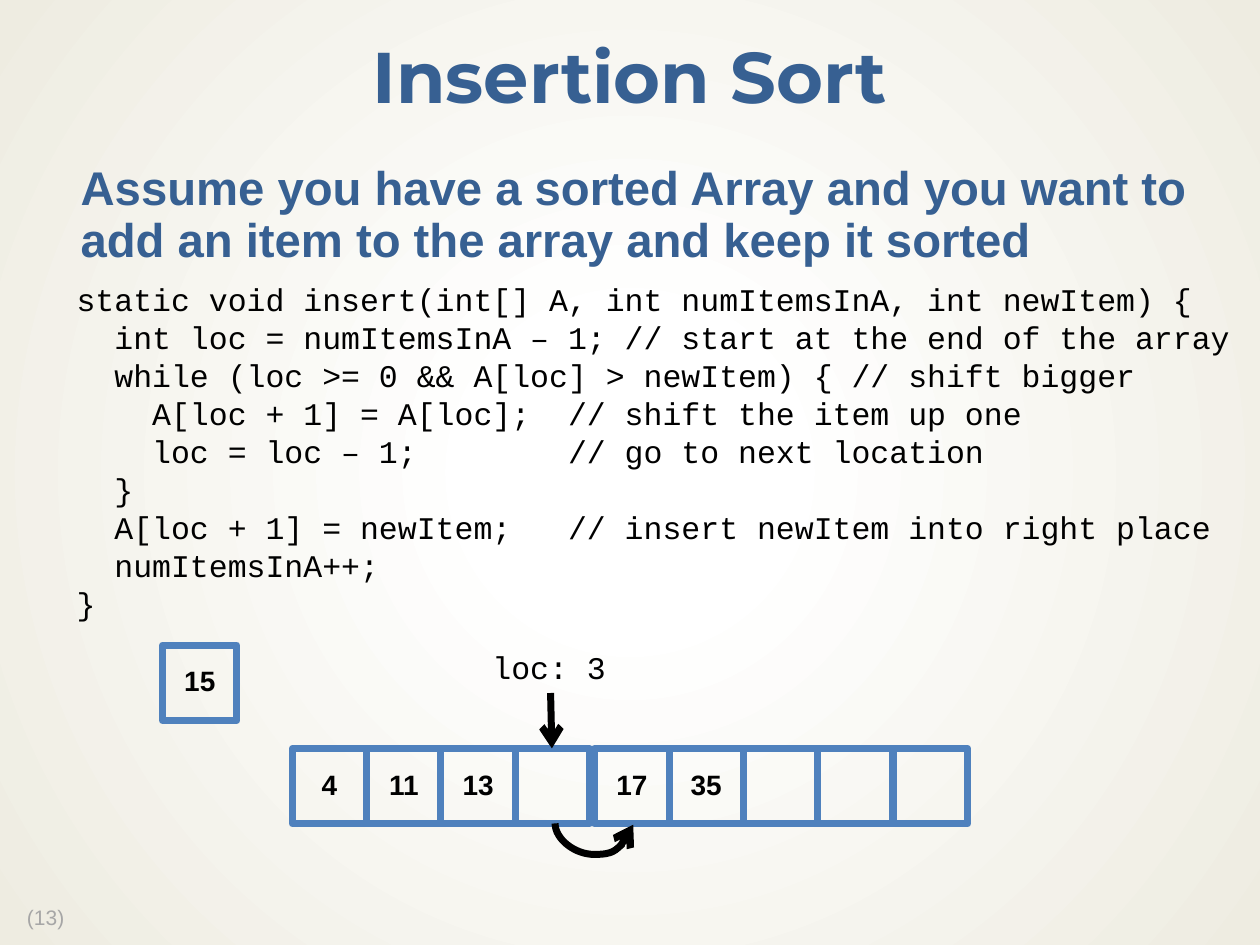
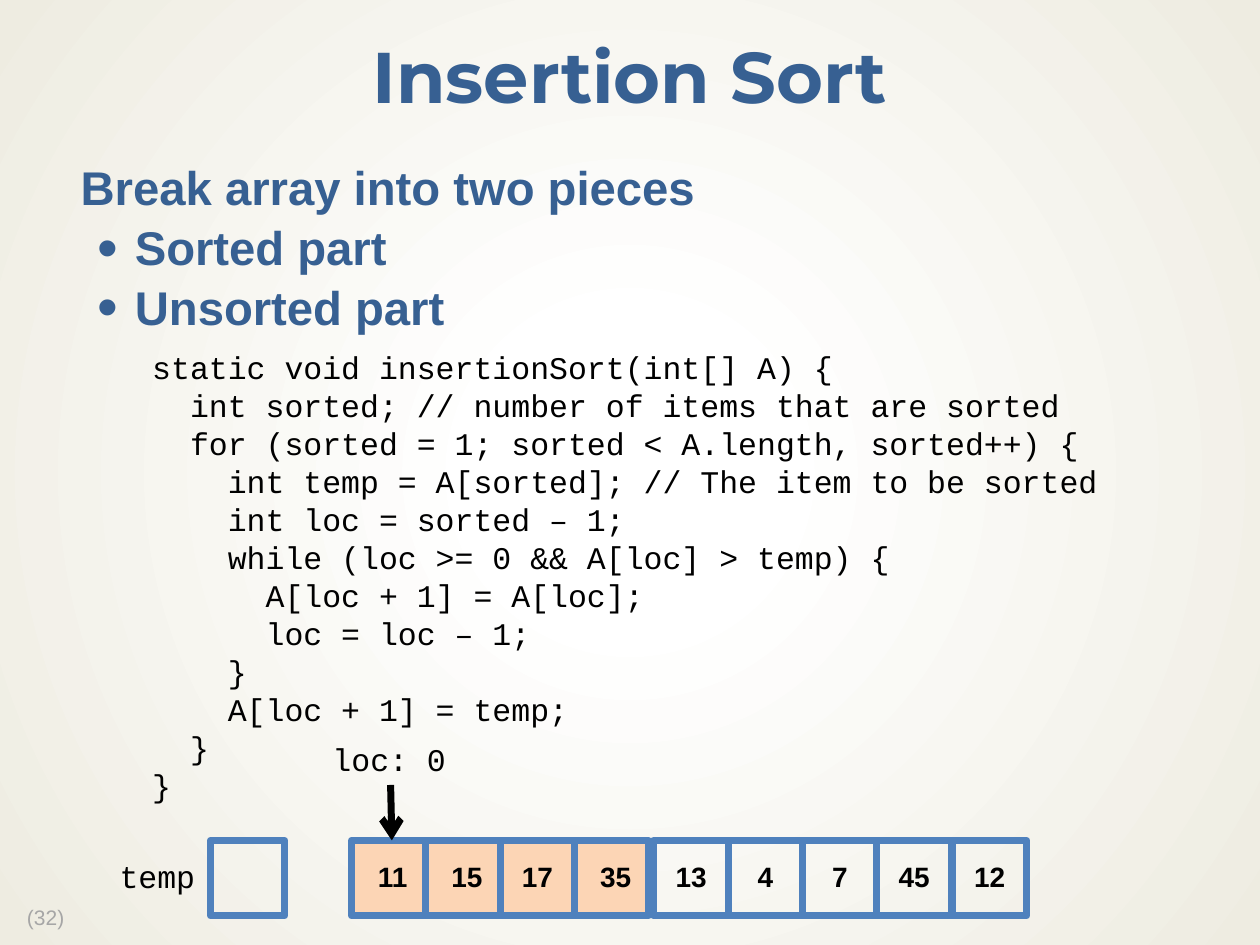
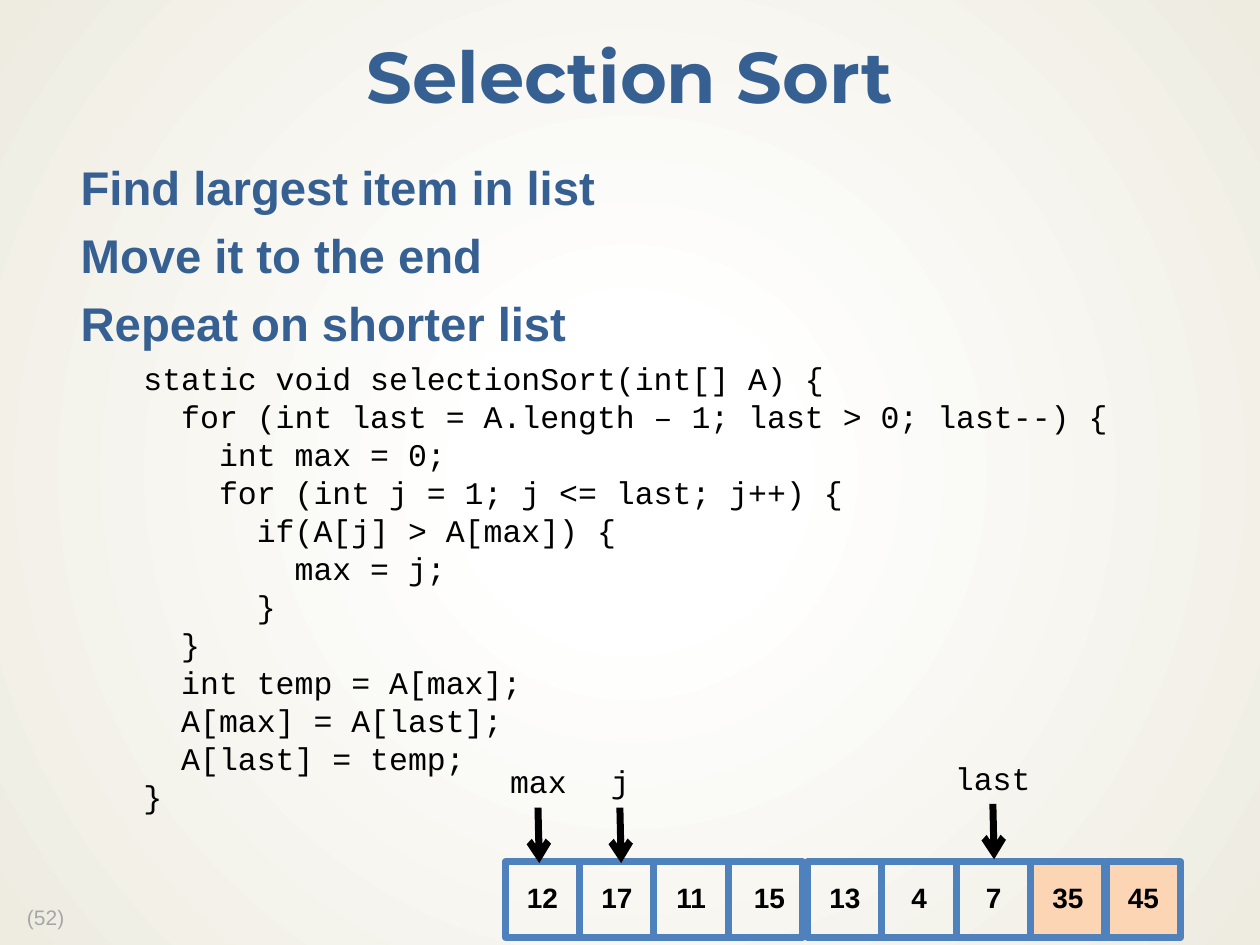
from lxml import etree
from pptx import Presentation
from pptx import util as u
from pptx.dml.color import RGBColor
from pptx.enum import shapes, text
from pptx.oxml import parse_xml
from pptx.oxml.ns import qn

SCALE = 9144  # EMU in one px, 100 px to the inch
COLORS = {
    "heading": "376092",
    "ink": "000000",
    "number": "A6A6A6",
    "cell_edge": "4F81BD",
    "sorted": "FCD5B5",
    "paper": "FFFFFF",
    "paper_edge": "EEECE1",
}
CELL_STEP = 59.25
HALF_GAP = 3  # extra gap before the fifth cell
TITLE_ONLY = 5

BACKDROP = f"""
<a:gradFill xmlns:a="http://schemas.openxmlformats.org/drawingml/2006/main" rotWithShape="1">
  <a:gsLst>
    <a:gs pos="18000"><a:srgbClr val="{COLORS['paper']}"><a:alpha val="53000"/></a:srgbClr></a:gs>
    <a:gs pos="100000"><a:srgbClr val="{COLORS['paper_edge']}"/></a:gs>
  </a:gsLst>
  <a:path path="circle"><a:fillToRect l="50000" t="50000" r="50000" b="50000"/></a:path>
</a:gradFill>"""

INSERT_CODE = """\
static void insert(int[] A, int numItemsInA, int newItem) {
  int loc = numItemsInA – 1; // start at the end of the array
  while (loc >= 0 && A[loc] > newItem) { // shift bigger
    A[loc + 1] = A[loc];  // shift the item up one
    loc = loc – 1;        // go to next location
  }
  A[loc + 1] = newItem;   // insert newItem into right place
  numItemsInA++;
}"""

INSERTION_SORT_CODE = """\
static void insertionSort(int[] A) {
  int sorted; // number of items that are sorted
  for (sorted = 1; sorted < A.length, sorted++) {
    int temp = A[sorted]; // The item to be sorted
    int loc = sorted – 1;
    while (loc >= 0 && A[loc] > temp) {
      A[loc + 1] = A[loc];
      loc = loc – 1;
    }
    A[loc + 1] = temp;
  }
}"""

SELECTION_SORT_CODE = """\
static void selectionSort(int[] A) {
  for (int last = A.length – 1; last > 0; last--) {
    int max = 0;
    for (int j = 1; j <= last; j++) {
      if(A[j] > A[max]) {
        max = j;
      }
  }
  int temp = A[max];
  A[max] = A[last];
  A[last] = temp;
}"""


def px(length):
    return int(length * SCALE)


def color(name):
    return RGBColor.from_string(COLORS[name])


def write(frame, content, *, size, font="Arial", ink="ink", bold=False, align=None,
          spacing=0.9, before=0, indent=0, bullet=None, hang=0):
    """Add one paragraph per line of content to a text frame."""
    for line in content.split("\n"):
        first = not frame.text
        para = frame.paragraphs[0] if first else frame.add_paragraph()
        props = para._p.get_or_add_pPr()
        if indent:
            props.set("marL", str(px(indent)))
            props.set("indent", str(px(-hang)))
        if bullet:
            etree.SubElement(props, qn("a:buSzPct"), val="125000")
            etree.SubElement(props, qn("a:buFont"), typeface="Arial")
            etree.SubElement(props, qn("a:buChar"), char=bullet)
        para.alignment = align
        para.line_spacing = spacing
        para.space_before = u.Pt(0 if first else before)
        span = para.add_run()
        span.text = line
        span.font.name = font
        span.font.size = u.Pt(size)
        span.font.bold = bold
        span.font.color.rgb = color(ink)


class Lecture:
    """Holds the deck, its style and the page being filled."""

    def __init__(self):
        self.deck = Presentation()
        self.deck.slide_width, self.deck.slide_height = px(1000), px(750)
        fill = self.deck.slide_master.background.fill
        fill.gradient()
        holder = self.deck.slide_master._element.find(".//" + qn("p:bgPr"))
        holder.replace(holder.find(qn("a:gradFill")), parse_xml(BACKDROP))
        self.page = None

    def start(self, title, number):
        self.page = self.deck.slides.add_slide(self.deck.slide_layouts[TITLE_ONLY])
        heading = self.page.shapes.title
        heading.left, heading.top, heading.width, heading.height = px(0), px(17), px(1000), px(94)
        frame = heading.text_frame
        self.inset(frame, 13, 6)
        frame.auto_size = text.MSO_AUTO_SIZE.NONE
        frame.vertical_anchor = text.MSO_ANCHOR.MIDDLE
        write(frame, title, size=41, font="Montserrat", ink="heading", bold=True,
              align=text.PP_ALIGN.CENTER)
        write(self.box(7, 715, 56, 28), f" ({number})", size=12, ink="number")

    def inset(self, frame, side, edge):
        frame.margin_left = frame.margin_right = px(side)
        frame.margin_top = frame.margin_bottom = px(edge)

    def box(self, left, top, width, height, wrap=False):
        frame = self.page.shapes.add_textbox(px(left), px(top), px(width), px(height)).text_frame
        frame.word_wrap = wrap
        frame.auto_size = (text.MSO_AUTO_SIZE.NONE if wrap
                           else text.MSO_AUTO_SIZE.SHAPE_TO_FIT_TEXT)
        return frame

    def points(self, statements, bullets=""):
        frame = self.box(38, 125, 925, 565, wrap=True)
        self.inset(frame, 12, 6)
        style = dict(size=27, ink="heading", bold=True)
        write(frame, statements, before=9.5, indent=14, **style)
        if bullets:
            write(frame, bullets, before=5, indent=57, hang=30, bullet="•", **style)

    def code(self, content, left, top, width, height=40):
        write(self.box(left, top, width, height), content, size=18, font="Courier New",
              spacing=u.Pt(21.7))

    def cell(self, value, left, top, fill=None):
        square = self.page.shapes.add_shape(shapes.MSO_SHAPE.RECTANGLE,
                                            px(left), px(top), px(59), px(60))
        square.shadow.inherit = False
        if fill:
            square.fill.solid()
            square.fill.fore_color.rgb = color(fill)
        else:
            square.fill.background()
        square.line.color.rgb = color("cell_edge")
        square.line.width = u.Pt(4)
        if value:
            square.text_frame.vertical_anchor = text.MSO_ANCHOR.MIDDLE
            write(square.text_frame, value, size=16, bold=True, align=text.PP_ALIGN.CENTER)

    def array(self, values, left, top, done=()):
        for index, value in enumerate(values):
            gap = HALF_GAP if index >= 4 else 0
            self.cell(value, left + int(index * CELL_STEP) + gap, top,
                      "sorted" if index in done else None)

    def arrow(self, start, end, kind=shapes.MSO_CONNECTOR.STRAIGHT):
        line = self.page.shapes.add_connector(kind, *map(px, start + end))
        line.line.color.rgb = color("ink")
        line.line.width = u.Pt(4)
        props = line._element.spPr
        etree.SubElement(props.find(qn("a:ln")), qn("a:tailEnd"), type="arrow")
        etree.SubElement(props, qn("a:effectLst"))
        return props

    def hop(self, start, end, depth):
        """Curved arrow that dips below its ends, drawn upright and turned."""
        props = self.arrow(start, end, shapes.MSO_CONNECTOR.CURVE)
        props.find(qn("a:xfrm")).set("rot", str(270 * 60000))
        shape = props.find(qn("a:prstGeom"))
        guides = shape.find(qn("a:avLst"))
        if guides is None:
            guides = etree.SubElement(shape, qn("a:avLst"))
        share = depth * 100000 // abs(start[0] - end[0])
        etree.SubElement(guides, qn("a:gd"), name="adj1", fmla=f"val {share}")

    def pointer(self, label, left, top, width, tip):
        self.arrow((tip, top + 41), (tip + 1, top + 85))
        self.code(label, left, top, width)


def main():
    lecture = Lecture()

    # Inserting into a sorted array
    lecture.start("Insertion Sort", 13)
    lecture.points("Assume you have a sorted Array and you want to "
                   "add an item to the array and keep it sorted")
    lecture.code(INSERT_CODE, 51, 217, 944, 283)
    lecture.cell("15", 129, 512)
    lecture.array(["4", "11", "13", "", "17", "35", "", "", ""], 232, 594)
    lecture.hop((472, 623), (471, 685), depth=25)
    lecture.pointer("loc: 3", 381, 509, 111, tip=437)

    # Insertion sort
    lecture.start("Insertion Sort", 32)
    lecture.points("Break array into two pieces", "Sorted part\nUnsorted part")
    lecture.code(INSERTION_SORT_CODE, 111, 271, 778, 374)
    lecture.array([" 11", " 15", "17", " 35", "13", "4", "7", "45", "12"], 279, 667,
                  done=range(4))
    lecture.pointer("loc: 0", 254, 582, 111, tip=310)
    lecture.cell("", 167, 667)
    lecture.code("temp", 85, 675, 81)

    # Selection sort
    lecture.start("Selection Sort", 52)
    lecture.points("Find largest item in list\nMove it to the end\nRepeat on shorter list")
    lecture.code(SELECTION_SORT_CODE, 104, 280, 793, 374)
    lecture.array(["12", "17", "11", " 15", "13", "4", "7", "35", "45"], 401, 684,
                  done=(7, 8))
    lecture.pointer("last", 748, 597, 81, tip=788)
    lecture.pointer("max", 395, 600, 66, tip=427)
    lecture.pointer("j", 475, 600, 35, tip=492)

    lecture.deck.save("out.pptx")


if __name__ == "__main__":
    main()
